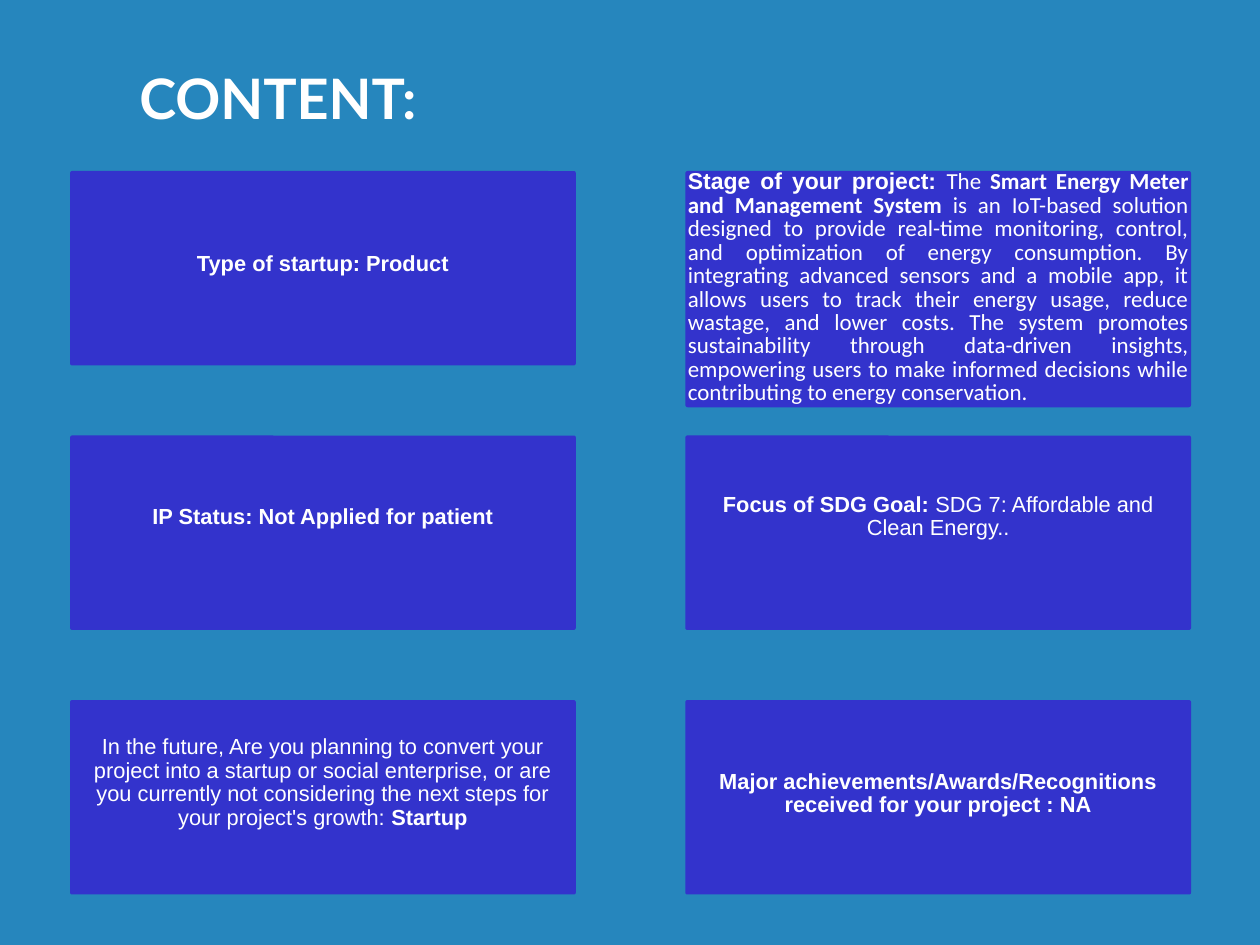
from pptx import Presentation
from pptx.dml.color import RGBColor
from pptx.enum.shapes import MSO_SHAPE
from pptx.enum.text import PP_ALIGN
from pptx.util import Emu, Pt

PX = 9525
ROUNDED = MSO_SHAPE.ROUNDED_RECTANGLE
CENTER, JUSTIFY = PP_ALIGN.CENTER, PP_ALIGN.JUSTIFY
BACKGROUND, CARD, WHITE = "2686BD", "3333CC", "FFFFFF"
LEFT, TOP, COL_PITCH, ROW_PITCH = 57, 139, 500, 215
CARD_W, CARD_H, TALL_H = 411, 158, 192
INSET, TALL_INSET = 18, 2

BOLD = {"name": "Arial", "size": Pt(13.3), "bold": True}
PLAIN = BOLD | {"bold": False}
LEAD = BOLD | {"size": Pt(14)}
BODY = {"name": "Calibri", "size": Pt(14), "bold": False}
BODY_BOLD = BODY | {"bold": True}
TITLE = {"name": "Lato", "size": Pt(34), "bold": True}

STAGE = [
    ("Stage of your project: ", LEAD),
    ("The ", BODY),
    ("Smart Energy Meter and Management System", BODY_BOLD),
    (" is an IoT-based solution designed to provide real-time monitoring, control, "
     "and optimization of energy consumption. By integrating advanced sensors and a "
     "mobile app, it allows users to track their energy usage, reduce wastage, and "
     "lower costs. The system promotes sustainability through data-driven insights, "
     "empowering users to make informed decisions while contributing to energy "
     "conservation.", BODY),
]
FUTURE = [
    ("In the future, Are you planning to convert your project into a startup or "
     "social enterprise, or are you currently not considering the next steps for "
     "your project's growth: ", PLAIN),
    ("Startup", BOLD),
]
CARDS = [
    {"text_top": 66, "text_h": 19, "runs": [("Type of startup: Product", BOLD)]},
    {"text_top": 0, "text_h": 188, "runs": STAGE, "height": TALL_H,
     "inset": TALL_INSET, "align": JUSTIFY},
    {"text_top": 57, "text_h": 19,
     "runs": [("IP Status: Not Applied for patient", BOLD)]},
    {"text_top": 47, "text_h": 38,
     "runs": [("Focus of SDG Goal: ", BOLD),
              ("SDG 7: Affordable and Clean Energy..", PLAIN)]},
    {"text_top": 29, "text_h": 76, "runs": FUTURE},
    {"text_top": 57, "text_h": 38,
     "runs": [("Major achievements/Awards/Recognitions received for your project : NA",
               BOLD)]},
]


def rgb(value):
    """Turn a hex string into a colour."""
    return RGBColor.from_string(value)


def px(*lengths):
    """Turn px lengths into EMU."""
    return [Emu(n * PX) for n in lengths]


def add_text(s, box, runs, spacing, align=CENTER):
    """Place one paragraph of formatted runs in a box without margins."""
    tf = s.shapes.add_textbox(*px(*box)).text_frame
    tf.word_wrap = True
    for side in ("left", "top", "right", "bottom"):
        setattr(tf, f"margin_{side}", 0)
    p = tf.paragraphs[0]
    p.alignment = align
    p.line_spacing = Pt(spacing)
    for text, style in runs:
        r = p.add_run()
        r.text = text
        r.font.color.rgb = rgb(WHITE)
        for key, value in style.items():
            setattr(r.font, key, value)


def add_card(s, left, top, runs, text_top, text_h, height=CARD_H, inset=INSET, align=CENTER):
    """Draw a card with its text at the given corner."""
    sp = s.shapes.add_shape(ROUNDED, *px(left, top, CARD_W, height))
    sp.adjustments[0] = 0.01
    sp.shadow.inherit = False
    sp.fill.solid()
    sp.fill.fore_color.rgb = rgb(CARD)
    sp.line.fill.background()
    box = (left + inset, top + text_top, CARD_W - 2 * inset, text_h)
    add_text(s, box, runs, 14.3, align)


def add_cards(s, left, top):
    """Lay the cards out in two columns."""
    for i, card in enumerate(CARDS):
        row, col = divmod(i, 2)
        add_card(s, left + col * COL_PITCH, top + row * ROW_PITCH, **card)


def main():
    """Build and save the slide."""
    prs = Presentation()
    prs.slide_width, prs.slide_height = px(1024, 768)
    s = prs.slides.add_slide(prs.slide_layouts[6])
    s.background.fill.solid()
    s.background.fill.fore_color.rgb = rgb(BACKGROUND)
    add_cards(s, LEFT, TOP)
    add_text(s, (75, 43, 302, 60), [("CONTENT:", TITLE)], 47.6)
    prs.save("out.pptx")


if __name__ == "__main__":
    main()
